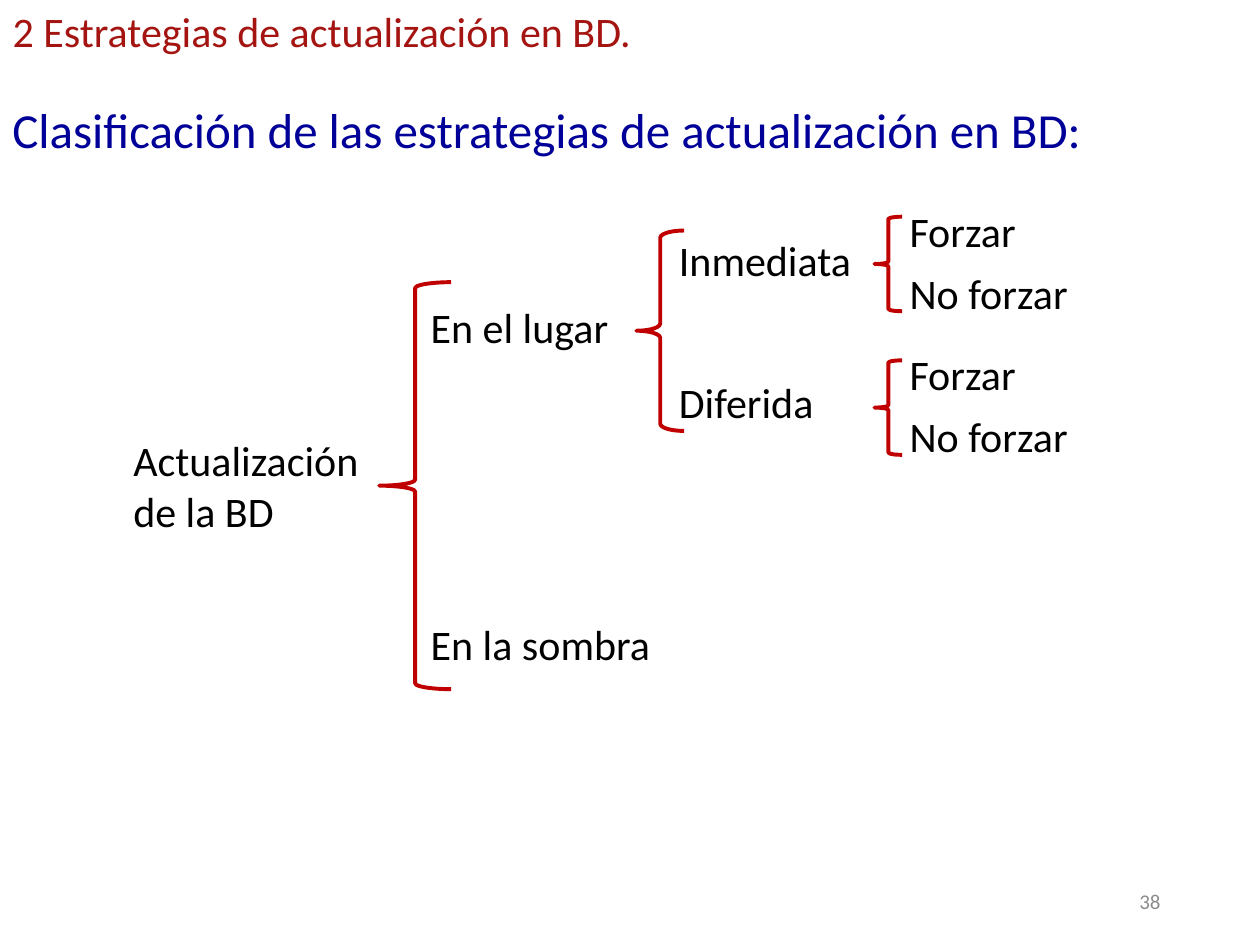
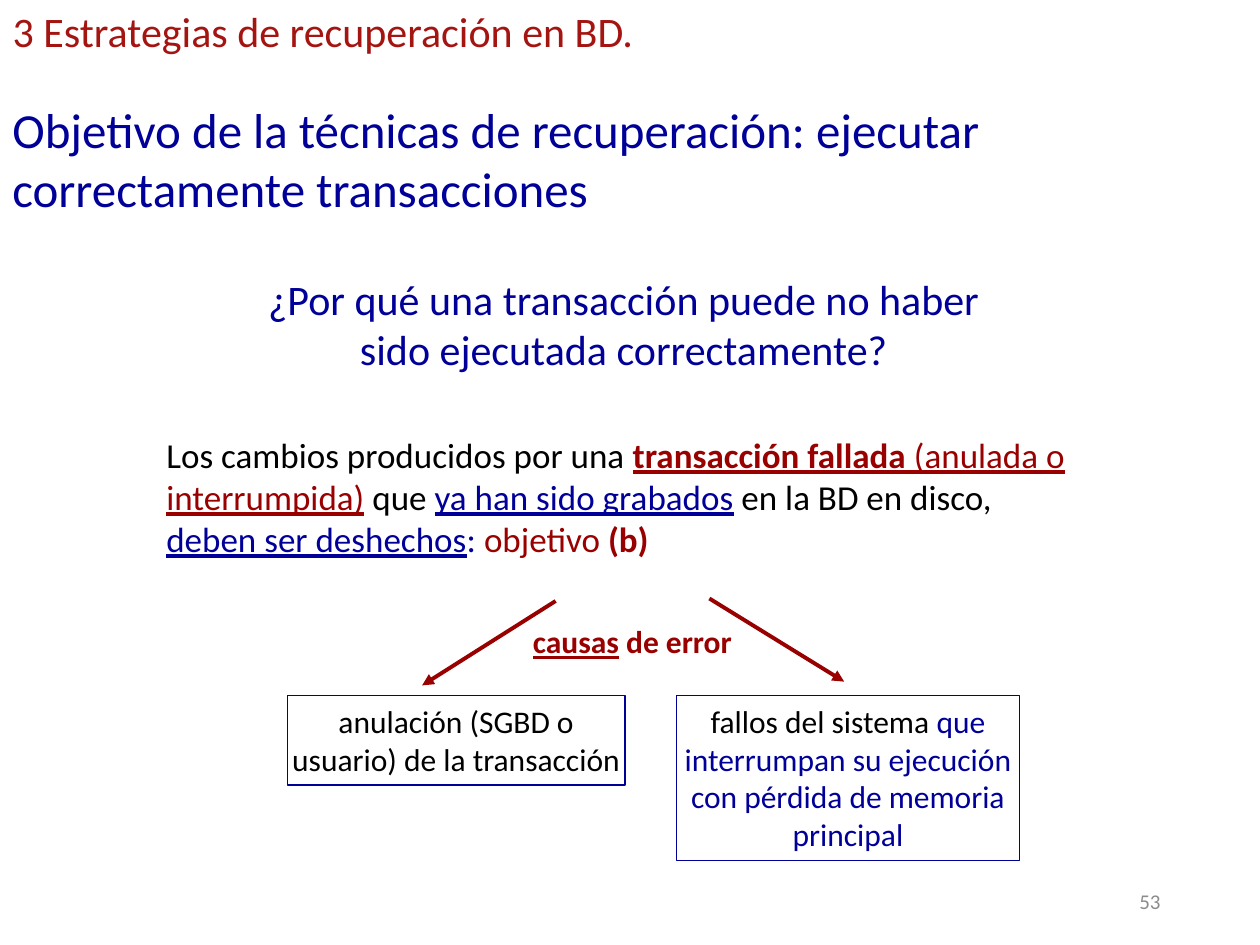
from dataclasses import dataclass
from typing import NamedTuple

from pptx import Presentation
from pptx.dml.color import RGBColor
from pptx.enum.shapes import MSO_CONNECTOR, MSO_SHAPE
from pptx.enum.text import MSO_ANCHOR, MSO_AUTO_SIZE, PP_ALIGN
from pptx.oxml.ns import qn
from pptx.oxml.xmlchemy import OxmlElement
from pptx.util import Emu, Pt

EMU_PER_PX = 9144  # 100 px to the inch
TITLE_ONLY = 5
FONT = "Calibri"
BLACK, BLUE, CRIMSON, RED = "000000", "000099", "990000", "C00000"
TITLE_RED, GRAY = "A41512", "8C8C8C"


class Place(NamedTuple):
    left: int
    top: int
    width: int
    height: int


class Run(NamedTuple):
    text: str
    color: str = BLACK
    bold: bool = False
    underline: bool = False


@dataclass(frozen=True)
class TextStyle:
    size: int
    align: PP_ALIGN = PP_ALIGN.LEFT
    anchor: MSO_ANCHOR = MSO_ANCHOR.TOP
    side_inset: int = 10
    wrap: bool = True


@dataclass(frozen=True)
class Brace:
    place: Place
    curve: float = 0.0833


class Arrow(NamedTuple):
    start: tuple[int, int]
    end: tuple[int, int]


TITLE = TextStyle(24, wrap=False)
HEADING = TextStyle(28)
NODE = TextStyle(24)
QUESTION = TextStyle(24, PP_ALIGN.CENTER)
BODY = TextStyle(20, side_inset=0)
CAUSE = TextStyle(18, PP_ALIGN.CENTER, side_inset=0)
PAGE_NUMBER = TextStyle(12, PP_ALIGN.RIGHT, MSO_ANCHOR.MIDDLE)


def px(length: int) -> Emu:
    return Emu(length * EMU_PER_PX)


def rgb(color: str) -> RGBColor:
    return RGBColor.from_string(color)


def set_attributes(target, values: dict) -> None:
    for name, value in values.items():
        setattr(target, name, value)


def write(shape, runs: list[Run], style: TextStyle) -> None:
    """Fill a shape with one paragraph of formatted runs."""
    frame = shape.text_frame
    set_attributes(frame, {
        "word_wrap": style.wrap,
        "auto_size": MSO_AUTO_SIZE.NONE,
        "vertical_anchor": style.anchor,
        "margin_left": px(style.side_inset),
        "margin_right": px(style.side_inset),
        "margin_top": px(5),
        "margin_bottom": px(5),
    })
    paragraph = frame.paragraphs[0]
    paragraph.alignment = style.align
    for item in runs:
        run = paragraph.add_run()
        run.text = item.text
        set_attributes(run.font, {
            "name": FONT,
            "size": Pt(style.size),
            "bold": item.bold,
            "underline": item.underline,
        })
        run.font.color.rgb = rgb(item.color)


def add_text(slide, place: Place, runs: list[Run], style: TextStyle) -> None:
    write(slide.shapes.add_textbox(*map(px, place)), runs, style)


def set_line(shape, color: str, width: float) -> None:
    shape.line.color.rgb = rgb(color)
    shape.line.width = Pt(width)


def add_outline(slide, kind: MSO_SHAPE, place: Place, color: str, width: float):
    """Add an unfilled preset shape."""
    shape = slide.shapes.add_shape(kind, *map(px, place))
    shape.shadow.inherit = False
    shape.fill.background()
    set_line(shape, color, width)
    return shape


def add_brace(slide, brace: Brace) -> None:
    shape = add_outline(slide, MSO_SHAPE.LEFT_BRACE, brace.place, RED, 2.25)
    shape.adjustments[0] = brace.curve


def add_arrow(slide, arrow: Arrow) -> None:
    connector = slide.shapes.add_connector(
        MSO_CONNECTOR.STRAIGHT, *map(px, arrow.start + arrow.end))
    set_line(connector, CRIMSON, 2.25)
    properties = connector._element.spPr
    head = OxmlElement("a:tailEnd")
    head.set("type", "triangle")
    properties.find(qn("a:ln")).append(head)
    properties.append(OxmlElement("a:effectLst"))


def start_slide(presentation, title: str, heading: str, heading_place: Place, number: int):
    """Add a slide with its section title, blue heading and page number."""
    slide = presentation.slides.add_slide(presentation.slide_layouts[TITLE_ONLY])
    place = Place(0, -1, 516, 50)
    set_attributes(slide.shapes.title, {
        name: px(value) for name, value in place._asdict().items()})
    write(slide.shapes.title, [Run(title, TITLE_RED)], TITLE)
    add_text(slide, heading_place, [Run(heading, BLUE)], HEADING)
    add_text(slide, Place(706, 695, 225, 40), [Run(str(number), GRAY)], PAGE_NUMBER)
    return slide


def build_classification(presentation) -> None:
    slide = start_slide(
        presentation, "2 Estrategias de actualización en BD.",
        "Clasificación de las estrategias de actualización en BD:",
        Place(0, 74, 901, 57), 38)
    nodes = {
        "Actualización de la BD": Place(96, 340, 228, 91),
        "En el lugar": Place(332, 234, 163, 51),
        "En la sombra": Place(332, 486, 247, 51),
        "Inmediata": Place(529, 181, 163, 51),
        "Diferida": Place(529, 294, 163, 51),
    }
    for label, place in nodes.items():
        add_text(slide, place, [Run(label)], NODE)

    braces = [Brace(Place(301, 224, 57, 323)), Brace(Place(505, 183, 38, 159), 0.148)]
    for top in (158, 272):
        for row, label in enumerate(("Forzar", "No forzar")):
            add_text(slide, Place(712, top + 49 * row, 151, 49), [Run(label)], NODE)
        braces.append(Brace(Place(694, top + 14, 22, 75)))
    for brace in braces:
        add_brace(slide, brace)


def build_recovery(presentation) -> None:
    slide = start_slide(
        presentation, "3 Estrategias de recuperación en BD.",
        "Objetivo de la técnicas de recuperación: ejecutar correctamente transacciones",
        Place(0, 74, 962, 104), 53)
    add_text(slide, Place(180, 212, 630, 91), [
        Run("¿Por qué una transacción puede no haber sido ejecutada correctamente?", BLUE),
    ], QUESTION)
    add_text(slide, Place(132, 339, 725, 111), [
        Run("Los cambios producidos por una "),
        Run("transacción fallada ", CRIMSON, bold=True, underline=True),
        Run("(anulada o interrumpida)", CRIMSON, underline=True),
        Run(" que "),
        Run("ya han sido grabados", BLUE, underline=True),
        Run(" en la BD en disco, "),
        Run("deben ser deshechos", BLUE, underline=True),
        Run(": ", BLUE),
        Run("objetivo ", CRIMSON),
        Run("(b)", CRIMSON, bold=True),
    ], BODY)
    add_text(slide, Place(402, 489, 200, 40), [
        Run("causas", CRIMSON, bold=True, underline=True),
        Run(" de error", CRIMSON, bold=True),
    ], CAUSE)

    causes = [
        (Place(228, 552, 268, 71), [Run("anulación (SGBD o usuario) de la transacción")]),
        (Place(537, 552, 272, 131), [
            Run("fallos del sistema "),
            Run("que interrumpan su ejecución con pérdida de memoria principal", BLUE),
        ]),
    ]
    for place, runs in causes:
        write(add_outline(slide, MSO_SHAPE.RECTANGLE, place, BLUE, 0.75), runs, CAUSE)
    for arrow in (Arrow((563, 475), (670, 541)), Arrow((441, 477), (335, 544))):
        add_arrow(slide, arrow)


def main() -> None:
    presentation = Presentation()
    presentation.slide_width, presentation.slide_height = px(1000), px(750)
    build_classification(presentation)
    build_recovery(presentation)
    presentation.save("out.pptx")


if __name__ == "__main__":
    main()
